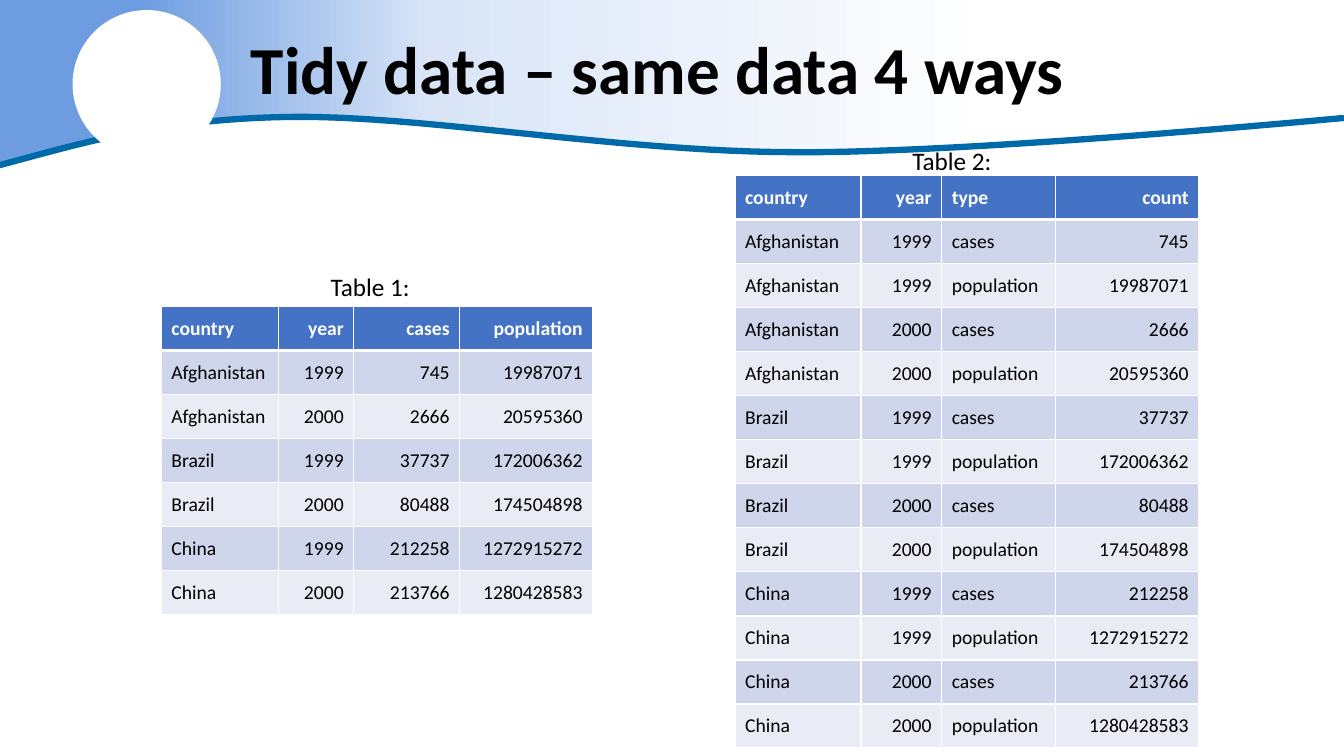
from copy import deepcopy
from dataclasses import dataclass

from lxml.etree import SubElement
from pptx import Presentation
from pptx.dml.color import RGBColor
from pptx.enum.shapes import MSO_SHAPE
from pptx.enum.text import MSO_ANCHOR, PP_ALIGN
from pptx.oxml.ns import qn
from pptx.util import Inches, Pt

Point = tuple[float, float]


@dataclass(frozen=True)
class Theme:
    font: str = "Calibri"
    black: str = "000000"
    white: str = "FFFFFF"
    wave: str = "0069A8"
    head: str = "4472C4"
    bands: tuple[str, ...] = ("CFD5EA", "E9EBF5")
    fade: tuple[tuple[float, str], ...] = (
        (0.1, "6D9CE1"), (0.32, "D9E5F7"), (0.74, "FFFFFF"))
    title: int = 48
    label: int = 18
    cell: int = 14


@dataclass(frozen=True)
class Label:
    text: str
    box: tuple[float, float, float, float]
    size: int
    bold: bool = False
    anchor: MSO_ANCHOR = MSO_ANCHOR.TOP
    space: float = 1.0


@dataclass(frozen=True)
class Grid:
    left: float
    top: float
    widths: tuple[float, ...]
    aligns: str
    rows: list[tuple]


THEME = Theme()
WIDTH, HEIGHT = 13.33, 7.5
ROW = 0.43
START = (-0.01, 1.64)
CURVES = (
    ((0.75, 1.44), (1.55, 1.18), (2.87, 1.16)),
    ((4.19, 1.14), (6.15, 1.51), (7.9, 1.51)),
    ((9.64, 1.52), (13.33, 1.17), (13.33, 1.17)),
)
WIDE = [
    ("Afghanistan", 1999, 745, 19987071),
    ("Afghanistan", 2000, 2666, 20595360),
    ("Brazil", 1999, 37737, 172006362),
    ("Brazil", 2000, 80488, 174504898),
    ("China", 1999, 212258, 1272915272),
    ("China", 2000, 213766, 1280428583),
]
LONG = [
    (land, year, kind, count)
    for land, year, *counts in WIDE
    for kind, count in zip(("cases", "population"), counts)
]
GRIDS = (
    Grid(1.6, 3.04, (1.16, 0.75, 1.05, 1.32), "lrrr",
         [("country", "year", "cases", "population"), *WIDE]),
    Grid(7.29, 1.74, (1.25, 0.8, 1.13, 1.42), "lrlr",
         [("country", "year", "type", "count"), *LONG]),
)
LABELS = (
    Label("Tidy data – same data 4 ways", (2.39, 0, 10.94, 1.45),
          THEME.title, True, MSO_ANCHOR.MIDDLE, 0.9),
    Label("Table 1:", (3.18, 2.64, 1.13, 0.4), THEME.label),
    Label("Table 2:", (8.95, 1.39, 1.13, 0.4), THEME.label),
)


def color(code: str) -> RGBColor:
    return RGBColor.from_string(code)


def style(para, size: int, code: str, bold: bool) -> None:
    font = para.font
    font.name, font.size, font.bold = THEME.font, Pt(size), bold
    font.color.rgb = color(code)


def trace(steps: int = 24) -> list[Point]:
    points = [START]
    for one, two, end in CURVES:
        start = points[-1]
        for step in range(1, steps + 1):
            t = step / steps
            u = 1 - t
            points.append(tuple(
                u**3 * a + 3 * u * u * t * b + 3 * u * t * t * c + t**3 * d
                for a, b, c, d in zip(start, one, two, end)))
    return points


def outline(slide, points: list[Point], close: bool):
    first, *rest = [(Inches(x), Inches(y)) for x, y in points]
    form = slide.shapes.build_freeform(*first)
    form.add_line_segments(rest, close=close)
    shape = form.convert_to_shape()
    shape.shadow.inherit = False
    return shape


def header(slide) -> None:
    curve = trace()
    band = outline(slide, [(0, 0), (WIDTH, 0), *reversed(curve[1:]), (0, START[1])], True)
    band.line.fill.background()
    band.fill.gradient()
    band.fill.gradient_angle = 0
    stops = band.element.xpath(".//a:gsLst")[0]
    stops.append(deepcopy(stops[-1]))
    for stop, (place, code) in zip(band.fill.gradient_stops, THEME.fade):
        stop.position = place
        stop.color.rgb = color(code)

    wave = outline(slide, curve, False)
    wave.fill.background()
    wave.line.color.rgb = color(THEME.wave)
    wave.line.width = Pt(4.5)

    disc = slide.shapes.add_shape(
        MSO_SHAPE.OVAL, Inches(0.72), Inches(0.1), Inches(1.47), Inches(1.47))
    disc.shadow.inherit = False
    disc.fill.solid()
    disc.fill.fore_color.rgb = color(THEME.white)
    disc.line.fill.background()


def border(cell, row: int) -> None:
    props = cell._tc.get_or_add_tcPr()
    for side in "LRTB":
        thick = (side, row) in (("B", 0), ("T", 1))
        line = SubElement(props, qn(f"a:ln{side}"), w=str(Pt(3 if thick else 1)))
        fill = SubElement(line, qn("a:solidFill"))
        SubElement(fill, qn("a:srgbClr"), val=THEME.white)


def table(slide, grid: Grid) -> None:
    count = len(grid.rows)
    sheet = slide.shapes.add_table(
        count, len(grid.widths), Inches(grid.left), Inches(grid.top),
        Inches(sum(grid.widths)), Inches(ROW * count)).table
    for col, width in zip(sheet.columns, grid.widths):
        col.width = Inches(width)
    for i, values in enumerate(grid.rows):
        sheet.rows[i].height = Inches(ROW)
        top = i == 0
        for j, (value, align) in enumerate(zip(values, grid.aligns)):
            cell = sheet.cell(i, j)
            border(cell, i)
            cell.fill.solid()
            cell.fill.fore_color.rgb = color(THEME.head if top else THEME.bands[(i - 1) % 2])
            cell.vertical_anchor = MSO_ANCHOR.MIDDLE
            cell.margin_left = cell.margin_right = Inches(0.1)
            cell.margin_top = cell.margin_bottom = Inches(0.1)
            cell.text = str(value)
            para = cell.text_frame.paragraphs[0]
            para.alignment = PP_ALIGN.RIGHT if align == "r" else PP_ALIGN.LEFT
            style(para, THEME.cell, THEME.white if top else THEME.black, top)


def write(slide, label: Label) -> None:
    frame = slide.shapes.add_textbox(*map(Inches, label.box)).text_frame
    frame.word_wrap = True
    frame.vertical_anchor = label.anchor
    para = frame.paragraphs[0]
    para.text = label.text
    para.line_spacing = label.space
    style(para, label.size, THEME.black, label.bold)


def main() -> None:
    deck = Presentation()
    deck.slide_width, deck.slide_height = Inches(WIDTH), Inches(HEIGHT)
    slide = deck.slides.add_slide(deck.slide_layouts[6])
    header(slide)
    for grid in GRIDS:
        table(slide, grid)
    for label in LABELS:
        write(slide, label)
    deck.save("out.pptx")


if __name__ == "__main__":
    main()
